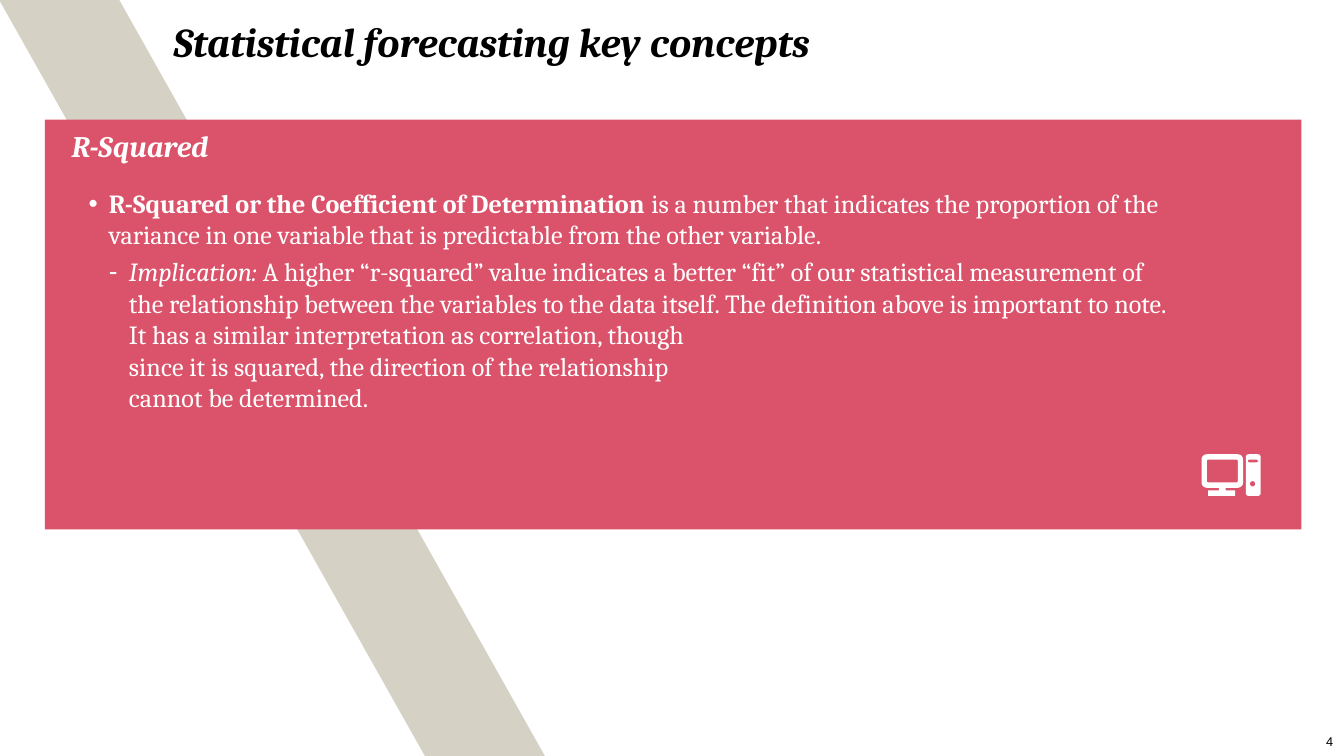
import math
import pptx
import pptx.dml.color
import pptx.enum.shapes
import pptx.enum.text
import pptx.oxml
import pptx.oxml.ns
import pptx.util

COLORS = {"white": "FFFFFF", "black": "000000", "sand": "D5D1C5", "rose": "DB536A"}
SHAPES = pptx.enum.shapes.MSO_SHAPE
COLUMNS, ROWS = 100, 56.25


class SlideBuilder:
    def __init__(self, presentation, font="Cambria"):
        self.column = presentation.slide_width / COLUMNS
        self.row = presentation.slide_height / ROWS
        self.font = font
        self.slide = presentation.slides.add_slide(presentation.slide_layouts[6])

    def place(self, left, top, width, height):
        return [round(length * unit) for length, unit in
                zip((left, top, width, height), (self.column, self.row) * 2)]

    def paint(self, shape, color):
        shape.shadow.inherit = False
        shape.fill.solid()
        shape.fill.fore_color.rgb = pptx.dml.color.RGBColor.from_string(COLORS[color])
        shape.line.fill.background()

    def block(self, kind, box, color):
        shape = self.slide.shapes.add_shape(kind, *self.place(*box))
        self.paint(shape, color)
        return shape

    def slanted_band(self, box, slant, color):
        shape = self.block(SHAPES.PARALLELOGRAM, box, color)
        shape.adjustments[0] = slant
        shape._element.spPr.xfrm.set("flipH", "1")

    def text_box(self, box):
        frame = self.slide.shapes.add_textbox(*self.place(*box)).text_frame
        frame.word_wrap = True
        frame.margin_left = frame.margin_top = frame.margin_right = frame.margin_bottom = 0
        return frame

    def add_runs(self, paragraph, runs, size, color, font=None):
        for text, bold, italic in runs:
            for index, line in enumerate(text.split("\n")):
                if index:
                    paragraph.add_line_break()
                run = paragraph.add_run()
                run.text = line
                run.font.name = font or self.font
                run.font.size = pptx.util.Pt(size)
                run.font.bold, run.font.italic = bold, italic
                run.font.color.rgb = pptx.dml.color.RGBColor.from_string(COLORS[color])

    def label(self, box, text, size, color, emphasis=True, font=None, align="LEFT"):
        paragraph = self.text_box(box).paragraphs[0]
        paragraph.alignment = getattr(pptx.enum.text.PP_ALIGN, align)
        self.add_runs(paragraph, [(text, emphasis, emphasis)], size, color, font)

    def bullets(self, box, items, size, color, indent=0.15):
        frame = self.text_box(box)
        namespace = pptx.oxml.ns.nsdecls("a")
        for level, (mark, runs) in enumerate(items, 1):
            paragraph = frame.paragraphs[0] if level == 1 else frame.add_paragraph()
            properties = paragraph._p.get_or_add_pPr()
            properties.set("marL", str(pptx.util.Inches(indent * level)))
            properties.set("indent", str(-pptx.util.Inches(indent)))
            for element in ('buFont {} typeface="Arial"', f'buChar {{}} char="{mark}"'):
                properties.append(pptx.oxml.parse_xml(f"<a:{element.format(namespace)}/>"))
            paragraph.space_after = pptx.util.Pt(3)
            self.add_runs(paragraph, runs, size, color)

    def outline(self, contours, color):
        builder = None
        for contour in contours:
            points = [(x * self.column, y * self.row) for x, y in contour]
            if builder is None:
                builder = self.slide.shapes.build_freeform(*points[0])
            else:
                builder.move_to(*points[0])
            builder.add_line_segments(points[1:], close=True)
        self.paint(builder.convert_to_shape(), color)


def rounded(left, top, right, bottom, radius, steps=4):
    corners = [(right - radius, bottom - radius), (left + radius, bottom - radius),
               (left + radius, top + radius), (right - radius, top + radius)]
    return [(x + radius * math.cos(angle), y + radius * math.sin(angle))
            for quarter, (x, y) in enumerate(corners)
            for angle in [(quarter + step / steps) * math.pi / 2
                          for step in range(steps + 1)]]


def main():
    presentation = pptx.Presentation()
    presentation.slide_width = pptx.util.Inches(10)
    presentation.slide_height = presentation.slide_width * 9 // 16
    builder = SlideBuilder(presentation)

    builder.slanted_band((-0.05, 0, 40.6, ROWS), 0.78, "sand")
    builder.label((12.9, 1.2, 84, 4.4), "Statistical forecasting key concepts", 22, "black")
    builder.label((79.7, 54.6, 19.5, 1.6), "4", 6.8, "black", False, "Arial", "RIGHT")
    builder.block(SHAPES.RECTANGLE, (3.33, 8.9, 93.5, 30.5), "rose")
    builder.label((5.33, 9.5, 16.5, 2.6), "R-Squared", 16, "white")

    screen = rounded(89.4, 33.8, 92.5, 36.3, 0.4)
    glass = rounded(89.8, 34.2, 92.1, 35.9, 0.1)
    stand = [(90.7, 36.3), (90.7, 36.5), (89.9, 36.5), (89.9, 36.9),
             (91.9, 36.9), (91.9, 36.5), (91.2, 36.5), (91.2, 36.3)]
    tower = rounded(92.7, 33.8, 93.8, 36.9, 0.2)
    button = rounded(93, 35.8, 93.4, 36.2, 0.2)
    slot = rounded(92.85, 34.2, 93.6, 34.4, 0.1)
    builder.outline([screen, glass, stand, tower, button, slot], "white")

    builder.bullets((6.6, 13.95, 80.3, 16.9), [
        ("•", [
            ("R-Squared or the Coefficient of Determination", True, False),
            (" is a number that indicates the proportion of the variance in one "
             "variable that is predictable from the other variable.", False, False)]),
        ("-", [
            ("Implication: ", False, True),
            ("A higher “r-squared” value indicates a better “fit” of our statistical "
             "measurement of the relationship between the variables to the data itself. "
             "The definition above is important to note. It has a similar interpretation "
             "as correlation, though\nsince it is squared, the direction of the "
             "relationship\ncannot be determined.", False, False)]),
    ], 14, "white")

    presentation.save("out.pptx")


if __name__ == "__main__":
    main()
